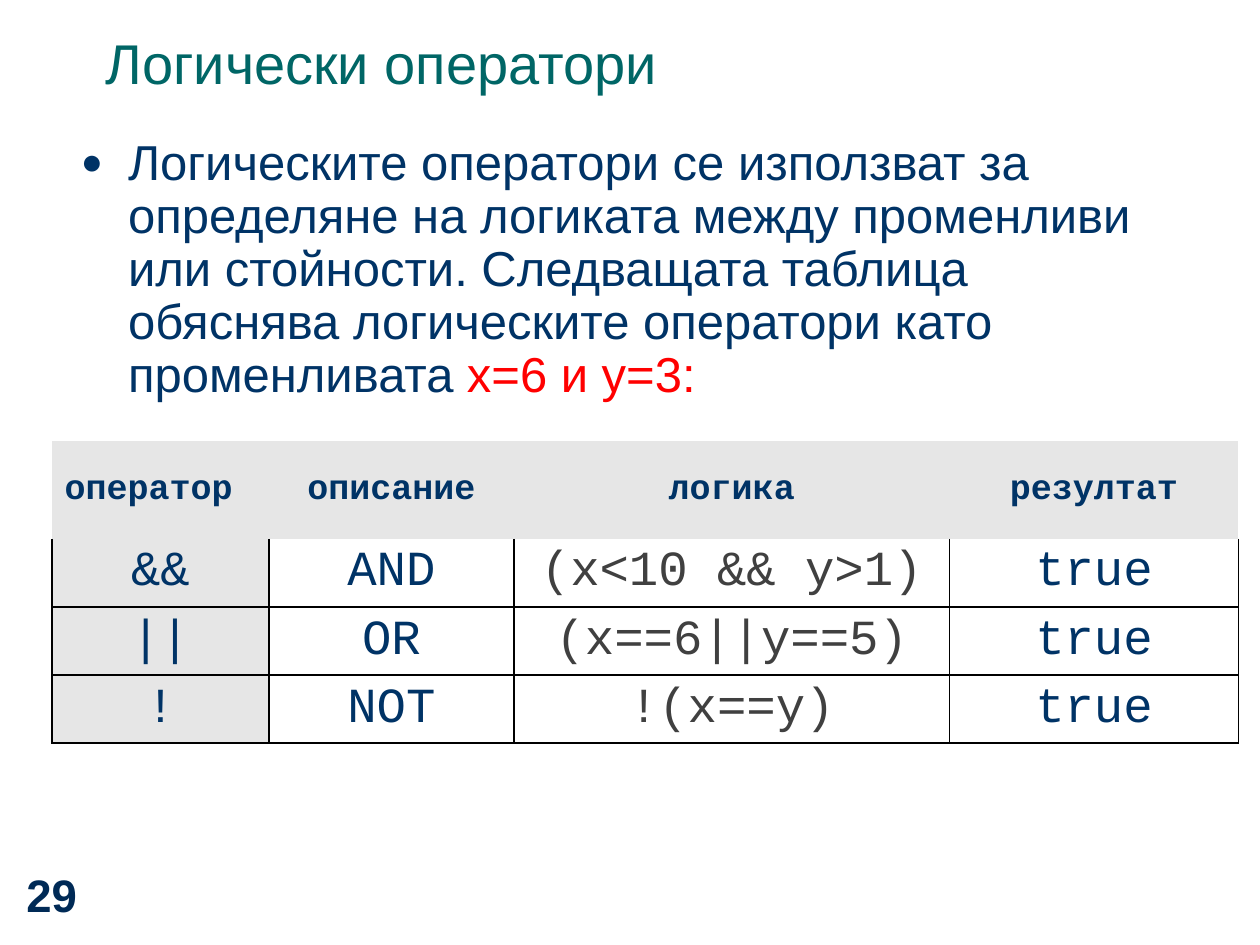
from lxml import etree
from pptx import Presentation
from pptx.dml.color import RGBColor
from pptx.enum.shapes import MSO_SHAPE
from pptx.enum.text import MSO_ANCHOR, PP_ALIGN
from pptx.oxml.ns import qn
from pptx.util import Pt

TOP, MIDDLE, BOTTOM = MSO_ANCHOR.TOP, MSO_ANCHOR.MIDDLE, MSO_ANCHOR.BOTTOM
LEFT, CENTER = PP_ALIGN.LEFT, PP_ALIGN.CENTER
ROUNDED = MSO_SHAPE.ROUNDED_RECTANGLE
NAVY, TEAL, RED, GRAY = "003366", "006666", "FF0000", "404040"
SHADE, BLACK = "E6E6E6", "000000"

TITLE = "Логически оператори"
BODY = [
    ("Логическите оператори се използват за определяне на логиката между "
     "променливи или стойности. Следващата таблица обяснява логическите "
     "оператори като променливата ", NAVY),
    ("х=6 и y=3:", RED),
]
ROWS = [
    ("оператор", "описание", "логика", "резултат"),
    ("&&", "AND", "(x<10 && y>1)", "true"),
    ("||", "OR", "(x==6||y==5)", "true"),
    ("!", "NOT", "!(x==y)", "true"),
]
COL_WIDTHS = (124, 140, 249, 165)
HEADER_HEIGHT, ROW_HEIGHT = 56, 38.9
CELL_MARGIN = 2.4
LOGIC_COL = 2


def rgb(color):
    """Return the colour for a hex string."""
    return RGBColor.from_string(color)


def write(tf, runs, size, font="Arial", bold=False, align=LEFT, anchor=TOP, spacing=None):
    """Write (text, colour) runs as one paragraph and return it."""
    tf.word_wrap = True
    tf.vertical_anchor = anchor
    p = tf.paragraphs[0]
    p.alignment = align
    p.line_spacing = spacing
    for text, color in runs:
        r = p.add_run()
        r.text = text
        r.font.size, r.font.name, r.font.bold = Pt(size), font, bold
        r.font.color.rgb = rgb(color)
    return p


def add_box(left, top, width, height):
    """Add a text box and return its text frame."""
    return slide.shapes.add_textbox(Pt(left), Pt(top), Pt(width), Pt(height)).text_frame


def add_title_frame(left, top, width, height):
    """Add an unfilled rounded rectangle and return its text frame."""
    sp = slide.shapes.add_shape(ROUNDED, Pt(left), Pt(top), Pt(width), Pt(height))
    sp.adjustments[0] = 0.217
    sp.shadow.inherit = False
    sp.fill.background()
    sp.line.fill.background()
    tf = sp.text_frame
    tf.margin_left, tf.margin_top = Pt(2), Pt(7.4)
    return tf


def add_bullet(p, indent, char, color, percent):
    """Give a paragraph a hanging bullet."""
    pPr = p._p.get_or_add_pPr()
    pPr.set("marL", str(Pt(indent)))
    pPr.set("indent", str(-Pt(indent)))
    clr = etree.SubElement(pPr, qn("a:buClr"))
    etree.SubElement(clr, qn("a:srgbClr"), val=color)
    etree.SubElement(pPr, qn("a:buSzPct"), val=str(percent * 1000))
    etree.SubElement(pPr, qn("a:buFont"), typeface="Arial")
    etree.SubElement(pPr, qn("a:buChar"), char=char)


def set_borders(cell, hidden):
    """Draw thin black borders, except on the hidden sides."""
    tcPr = cell._tc.get_or_add_tcPr()
    for i, side in enumerate("LRTB"):
        ln = etree.Element(qn("a:ln" + side), w=str(Pt(1)))
        if side in hidden:
            etree.SubElement(ln, qn("a:noFill"))
        else:
            fill = etree.SubElement(ln, qn("a:solidFill"))
            etree.SubElement(fill, qn("a:srgbClr"), val=BLACK)
        tcPr.insert(i, ln)


def add_operator_table(left, top):
    """Add the table of logical operators."""
    height = HEADER_HEIGHT + ROW_HEIGHT * (len(ROWS) - 1)
    table = slide.shapes.add_table(len(ROWS), len(COL_WIDTHS), Pt(left), Pt(top),
                                   Pt(sum(COL_WIDTHS)), Pt(height)).table
    table.first_row = table.horz_banding = False
    for col, width in zip(table.columns, COL_WIDTHS):
        col.width = Pt(width)
    for i, texts in enumerate(ROWS):
        header = i == 0
        table.rows[i].height = Pt(HEADER_HEIGHT if header else ROW_HEIGHT)
        for j, text in enumerate(texts):
            cell = table.cell(i, j)
            color = GRAY if j == LOGIC_COL and not header else NAVY
            write(cell.text_frame, [(text, color)], 20 if header else 28,
                  font="Courier New", bold=header,
                  align=LEFT if header and j == 0 else CENTER)
            cell.vertical_anchor = MIDDLE
            cell.margin_top = cell.margin_bottom = Pt(CELL_MARGIN)
            if header or j == 0:
                cell.fill.solid()
                cell.fill.fore_color.rgb = rgb(SHADE)
            else:
                cell.fill.background()
            set_borders(cell, "LRTB" if header else "T" if i == 1 else "")


prs = Presentation()
prs.slide_width, prs.slide_height = Pt(720), Pt(540)
slide = prs.slides.add_slide(prs.slide_layouts[6])

write(add_box(8, 491.8, 46, 38.2), [("29", "002A56")], 26, bold=True, anchor=BOTTOM)
write(add_title_frame(52.6, 7.4, 624, 90), [(TITLE, TEAL)], 32, spacing=0.9)
body = write(add_box(39.1, 75.4, 630, 161.3), BODY, 28, spacing=0.9)
add_bullet(body, 27, "●", NAVY, 75)
add_operator_table(29.7, 252)

prs.save("out.pptx")
